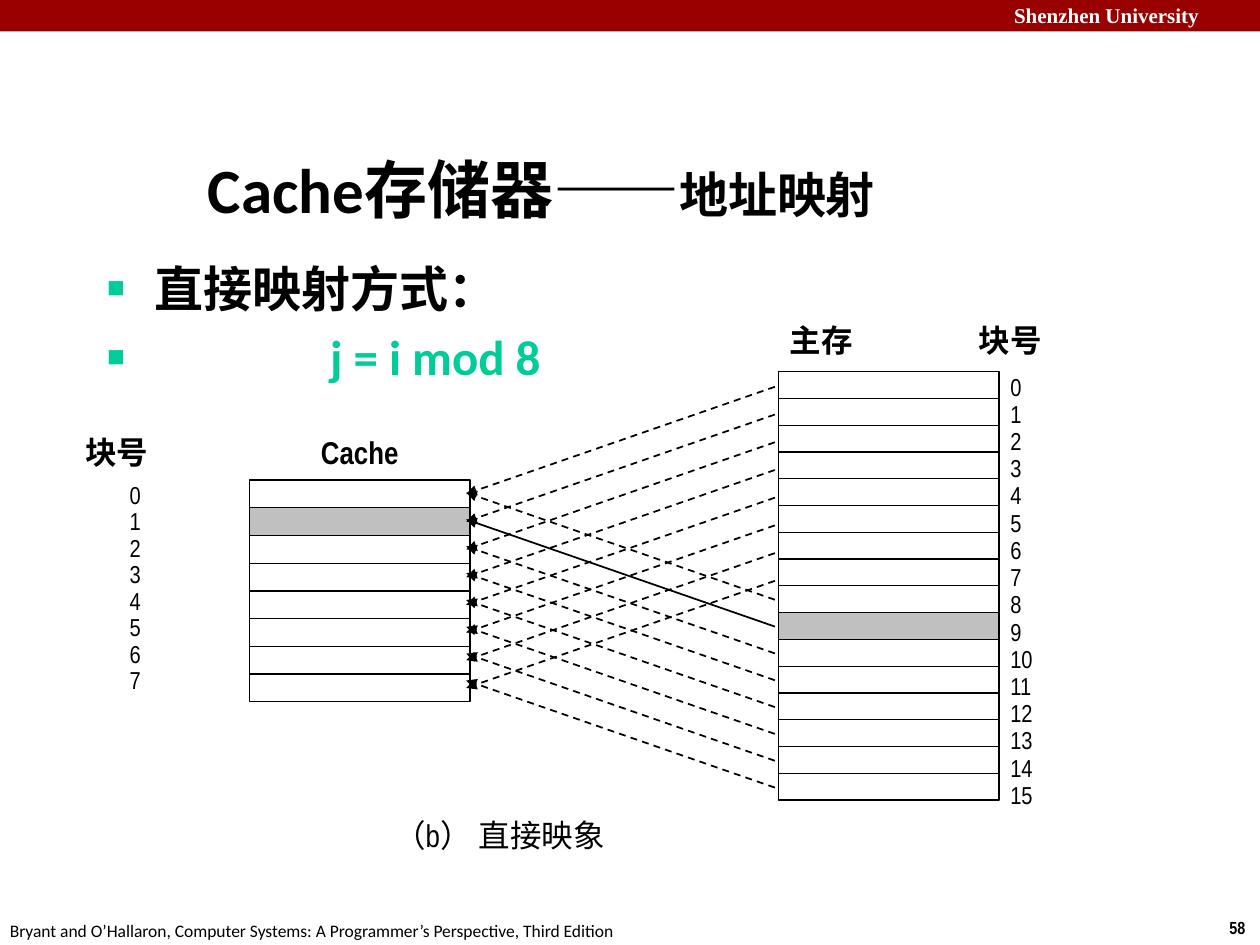
from lxml.etree import SubElement
from pptx import Presentation
from pptx.dml.color import RGBColor
from pptx.enum.dml import MSO_LINE
from pptx.enum.shapes import MSO_CONNECTOR, MSO_SHAPE
from pptx.enum.text import MSO_ANCHOR, MSO_AUTO_SIZE, PP_ALIGN
from pptx.oxml.ns import qn
from pptx.util import Inches, Pt

COLORS = {"banner": "990000", "ink": "000000", "paper": "FFFFFF",
          "accent": "00CC99", "mapped": "C0C0C0"}
NARROW = "Arial Narrow"
SLOTS, BLOCKS = 8, 16
MAPPED_BLOCK = 9


def rgb(name):
    """Return the named palette colour."""
    return RGBColor.from_string(COLORS[name])


def set_font(font, face, size, color="ink", bold=False):
    """Apply face, size, colour and weight to a font."""
    font.name, font.size, font.bold = face, Pt(size), bold
    font.color.rgb = rgb(color)


def place(shape, left, top, width, height):
    """Move a shape to a box given in inches."""
    shape.left, shape.top = Inches(left), Inches(top)
    shape.width, shape.height = Inches(width), Inches(height)


def add_label(slide, text, box, size, face=NARROW, color="ink", bold=False,
              align=PP_ALIGN.LEFT, wrap=True):
    """Add one line of text in a box."""
    frame = slide.shapes.add_textbox(*map(Inches, box)).text_frame
    frame.word_wrap = wrap
    line = frame.paragraphs[0]
    line.text, line.alignment = text, align
    set_font(line.font, face, size, color, bold)


def add_cell(slide, box, fill=None, outlined=True):
    """Add a flat rectangle, filled or empty, outlined or not."""
    cell = slide.shapes.add_shape(MSO_SHAPE.RECTANGLE, *map(Inches, box))
    cell.shadow.inherit = False
    if fill:
        cell.fill.solid()
        cell.fill.fore_color.rgb = rgb(fill)
    else:
        cell.fill.background()
    if outlined:
        cell.line.color.rgb = rgb("ink")
        cell.line.width = Pt(0.75)
    else:
        cell.line.fill.background()


def add_arrow(slide, start, end, dashed):
    """Add a line with an arrowhead at its end."""
    arrow = slide.shapes.add_connector(
        MSO_CONNECTOR.STRAIGHT, *map(Inches, (*start, *end)))
    arrow.line.color.rgb = rgb("ink")
    arrow.line.width = Pt(1)
    if dashed:
        arrow.line.dash_style = MSO_LINE.DASH
    SubElement(arrow.line._ln, qn("a:tailEnd"), type="triangle")
    SubElement(arrow._element.spPr, qn("a:effectLst"))


def add_banner_and_footer(slide, width, height):
    """Add the top band, the book credit and the page number."""
    add_cell(slide, (0, 0, width, 0.25), "banner", outlined=False)
    add_label(slide, "Shenzhen University", (7.95, -0.03, 2.12, 0.3), 12,
              "Times New Roman", "paper", bold=True)
    add_label(slide, "58", (width - 0.34, height - 0.27, 0.34, 0.27), 10,
              bold=True, wrap=False)
    add_label(slide, "Bryant and O’Hallaron, Computer Systems: "
              "A Programmer’s Perspective, Third Edition",
              (-0.02, height - 0.25, 5.09, 0.27), 10, "Calibri", wrap=False)


def fill_title(title, box):
    """Write the two-size heading."""
    place(title, *box)
    frame = title.text_frame
    frame.auto_size = MSO_AUTO_SIZE.NONE
    frame.vertical_anchor = MSO_ANCHOR.MIDDLE
    heading = frame.paragraphs[0]
    heading.alignment = PP_ALIGN.LEFT
    set_font(heading.font, "Calibri", 36, bold=True)
    heading.add_run().text = "Cache存储器——"
    topic = heading.add_run()
    topic.text = "地址映射"
    topic.font.size = Pt(28)


def fill_body(body, box):
    """Write the method and its formula as bulleted lines."""
    place(body, *box)
    frame = body.text_frame
    frame.auto_size = MSO_AUTO_SIZE.NONE
    lines = (("直接映射方式：", "ink", 0.38, 0),
             ("j = i mod 8", "accent", 1.77, 5.6))
    for index, (text, color, indent, before) in enumerate(lines):
        line = frame.add_paragraph() if index else frame.paragraphs[0]
        line.text = text
        line.space_before = Pt(before)
        props = line._p.get_or_add_pPr()
        props.set("marL", str(Inches(indent)))
        props.set("indent", str(-Inches(indent)))
        tint = SubElement(props, qn("a:buClr"))
        SubElement(tint, qn("a:srgbClr"), val=COLORS["accent"])
        SubElement(props, qn("a:buSzPct"), val="60000")
        SubElement(props, qn("a:buFont"), typeface="Arial")
        SubElement(props, qn("a:buChar"), char="■")
        set_font(line.font, "Calibri", 28, color, bold=True)


def add_blocks(slide, box, count, mapped):
    """Stack equal blocks in a box, with the mapped one shaded."""
    left, top, width, height = box
    pitch = height / count
    for row in range(count):
        add_cell(slide, (left, top + row * pitch, width, pitch),
                 "mapped" if row == mapped else None)


def add_numbers(slide, left, top, width, count, pitch):
    """Number the blocks down a column."""
    for row in range(count):
        add_label(slide, str(row), (left, top + row * pitch, width, 0.32), 14)


def add_cache(slide, left, top):
    """Draw the cache with its heading and block numbers."""
    add_blocks(slide, (left, top, 1.75, 1.76), SLOTS, MAPPED_BLOCK % SLOTS)
    add_numbers(slide, left - 1.05, top - 0.05, 1.05, SLOTS, 0.21)
    add_label(slide, "块号", (left - 1.4, top - 0.42, 1.75, 0.32), 18, bold=True)
    add_label(slide, "Cache", (left, top - 0.42, 1.75, 0.32), 18, bold=True,
              align=PP_ALIGN.CENTER)


def add_memory(slide, left, top):
    """Draw main memory with its heading and block numbers."""
    add_blocks(slide, (left, top, 1.75, 3.4), BLOCKS, MAPPED_BLOCK)
    add_numbers(slide, left + 1.74, top - 0.05, 0.66, BLOCKS, 0.216)
    add_label(slide, "主存", (left - 0.01, top - 0.45, 1.75, 0.32), 18, bold=True)
    add_label(slide, "块号", (left + 1.49, top - 0.45, 1.75, 0.32), 18, bold=True)


def add_mapping(slide, memory_x, cache_x, top):
    """Link each memory block to its cache slot."""
    rise = 0.85
    for block in range(BLOCKS):
        if block < SLOTS:
            start, shift = top + block * 0.22, rise
        else:
            start, shift = top + 1.69 + (block - SLOTS) * 0.213, -rise
        add_arrow(slide, (memory_x, start), (cache_x, start + shift),
                  dashed=block != MAPPED_BLOCK)


def main():
    """Build and save the slide."""
    deck = Presentation()
    deck.slide_width, deck.slide_height = Inches(10), Inches(7.5)
    slide = deck.slides.add_slide(deck.slide_layouts[1])
    add_banner_and_footer(slide, 10, 7.5)
    fill_title(slide.shapes.title, (1.55, 1.08, 6.83, 0.83))
    fill_body(slide.placeholders[1], (0.75, 2, 8.5, 4.67))
    add_label(slide, "（b） 直接映象", (3.03, 6.43, 2.14, 0.32), 18)
    add_cache(slide, 1.98, 3.81)
    add_memory(slide, 6.18, 2.95)
    add_mapping(slide, 6.15, 3.7, 3.07)
    deck.save("out.pptx")


if __name__ == "__main__":
    main()
